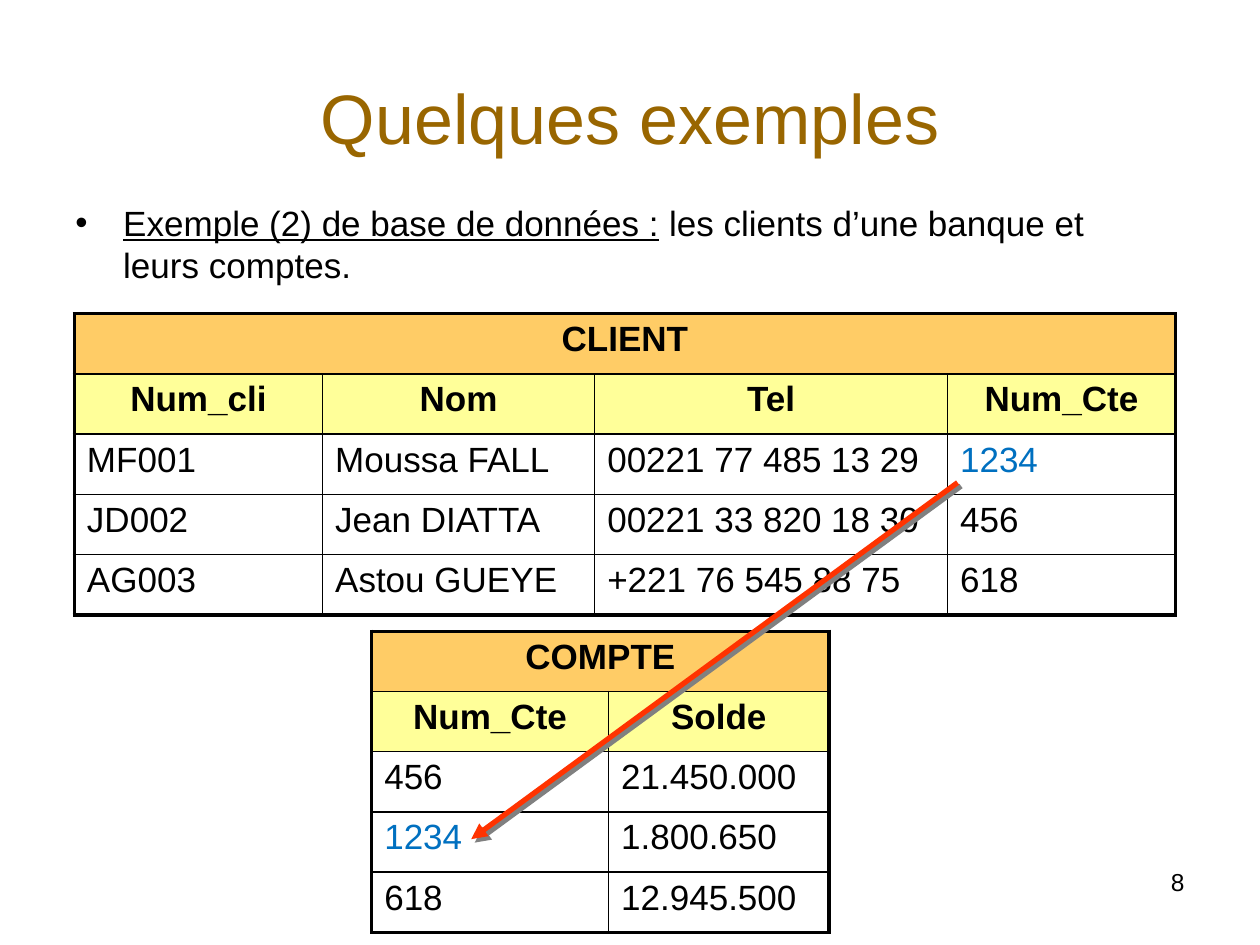
from dataclasses import dataclass

from lxml import etree
from pptx import Presentation
from pptx.dml.color import RGBColor
from pptx.enum.shapes import MSO_CONNECTOR
from pptx.enum.text import MSO_ANCHOR, PP_ALIGN
from pptx.oxml.ns import qn
from pptx.util import Inches, Pt

LEFT, CENTER, RIGHT = PP_ALIGN.LEFT, PP_ALIGN.CENTER, PP_ALIGN.RIGHT
MIDDLE = MSO_ANCHOR.MIDDLE
STRAIGHT = MSO_CONNECTOR.STRAIGHT
TITLE_ONLY = 5


@dataclass(frozen=True)
class Theme:
    font: str = "Arial"
    title: str = "996600"
    ink: str = "000000"
    key: str = "0070C0"
    banner: str = "FFCC66"
    header: str = "FFFF99"
    arrow: str = "FF3300"
    shadow: str = "808080"
    title_size: int = 40
    body_size: int = 20
    number_size: int = 14
    thin: float = 1
    thick: float = 2.25
    arrow_width: float = 3


THEME = Theme()


def add_element(parent, tag, **attributes):
    return etree.SubElement(parent, qn(tag), attributes)


def add_span(para, text, size, color=THEME.ink, bold=False, underline=False):
    span = para.add_run()
    span.text = text
    span.font.name = THEME.font
    span.font.size = Pt(size)
    span.font.color.rgb = RGBColor.from_string(color)
    span.font.bold = bold
    span.font.underline = underline


def add_text_box(page, box):
    frame = page.shapes.add_textbox(*map(Inches, box)).text_frame
    frame.word_wrap = True
    return frame.paragraphs[0]


def add_title(page, box, text):
    title = page.shapes.title
    title.left, title.top, title.width, title.height = map(Inches, box)
    title.text_frame.vertical_anchor = MIDDLE
    para = title.text_frame.paragraphs[0]
    para.alignment = CENTER
    add_span(para, text, THEME.title_size, THEME.title)


def add_bullet(page, box, lead, rest):
    para = add_text_box(page, box)
    indent = Inches(0.38)
    properties = para._p.get_or_add_pPr()
    properties.set("marL", str(indent))
    properties.set("indent", str(-indent))
    add_element(properties, "a:buFont", typeface=THEME.font)
    add_element(properties, "a:buChar", char="•")
    add_span(para, lead, THEME.body_size, underline=True)
    add_span(para, rest, THEME.body_size)


def add_page_number(page, box, number):
    para = add_text_box(page, box)
    para.alignment = RIGHT
    add_span(para, number, THEME.number_size)


def set_borders(cell, outer_sides):
    properties = cell._tc.get_or_add_tcPr()
    for side in "LRTB":
        width = THEME.thick if side in outer_sides else THEME.thin
        line = add_element(properties, f"a:ln{side}", w=str(Pt(width)))
        fill = add_element(line, "a:solidFill")
        add_element(fill, "a:srgbClr", val=THEME.ink)


def add_relation(page, box, name, fields, records, widths, key):
    rows = [[name] + [""] * (len(fields) - 1), fields, *records]
    last_row, last_column = len(rows) - 1, len(fields) - 1
    table = page.shapes.add_table(len(rows), len(fields), *map(Inches, box)).table
    table.first_row = table.horz_banding = False
    for column, width in zip(table.columns, widths):
        column.width = Inches(width)
    fills = {0: THEME.banner, 1: THEME.header}
    for r, values in enumerate(rows):
        for c, value in enumerate(values):
            cell = table.cell(r, c)
            edges = {"L": c == 0, "R": c == last_column or r == 0,
                     "T": r == 0, "B": r == last_row}
            set_borders(cell, [side for side, outer in edges.items() if outer])
            if r in fills:
                cell.fill.solid()
                cell.fill.fore_color.rgb = RGBColor.from_string(fills[r])
            else:
                cell.fill.background()
            if value:
                para = cell.text_frame.paragraphs[0]
                para.alignment = CENTER if r in fills else LEFT
                color = THEME.key if value == key else THEME.ink
                add_span(para, value, THEME.body_size, color, bold=r in fills)
    table.cell(0, 0).merge(table.cell(0, last_column))


def add_key_arrow(page, start, end):
    arrow = page.shapes.add_connector(STRAIGHT, *map(Inches, start + end))
    arrow.line.color.rgb = RGBColor.from_string(THEME.arrow)
    arrow.line.width = Pt(THEME.arrow_width)
    add_element(arrow.line._get_or_add_ln(), "a:tailEnd", type="triangle")
    effects = add_element(arrow._element.spPr, "a:effectLst")
    shadow = add_element(effects, "a:outerShdw", dist=str(Pt(2.8)),
                         dir=str(45 * 60000), algn="ctr", rotWithShape="0")
    add_element(shadow, "a:srgbClr", val=THEME.shadow)


def main():
    deck = Presentation()
    deck.slide_width, deck.slide_height = Inches(10), Inches(7.5)
    page = deck.slides.add_slide(deck.slide_layouts[TITLE_ONLY])

    add_page_number(page, (7.17, 6.83, 2.33, 0.52), "8")
    add_title(page, (0.5, 0.3, 9, 1.25), "Quelques exemples")
    add_bullet(page, (0.5, 1.55, 8.83, 0.82),
               "Exemple (2) de base de données :",
               " les clients d’une banque et leurs comptes.")
    add_relation(page, (0.59, 2.49, 8.74, 2.39), "CLIENT",
                 ["Num_cli", "Nom", "Tel", "Num_Cte"],
                 [["MF001", "Moussa FALL", "00221 77 485 13 29", "1234"],
                  ["JD002", "Jean DIATTA", "00221 33 820 18 30", "456"],
                  ["AG003", "Astou GUEYE", "+221 76 545 88 75", "618"]],
                 [1.97, 2.16, 2.8, 1.81], key="1234")
    add_relation(page, (2.95, 5.01, 3.63, 2.39), "COMPTE",
                 ["Num_Cte", "Solde"],
                 [["456", "21.450.000"],
                  ["1234", "1.800.650"],
                  ["618", "12.945.500"]],
                 [1.88, 1.75], key="1234")
    add_key_arrow(page, (7.6, 3.83), (3.74, 6.66))
    deck.save("out.pptx")


if __name__ == "__main__":
    main()
